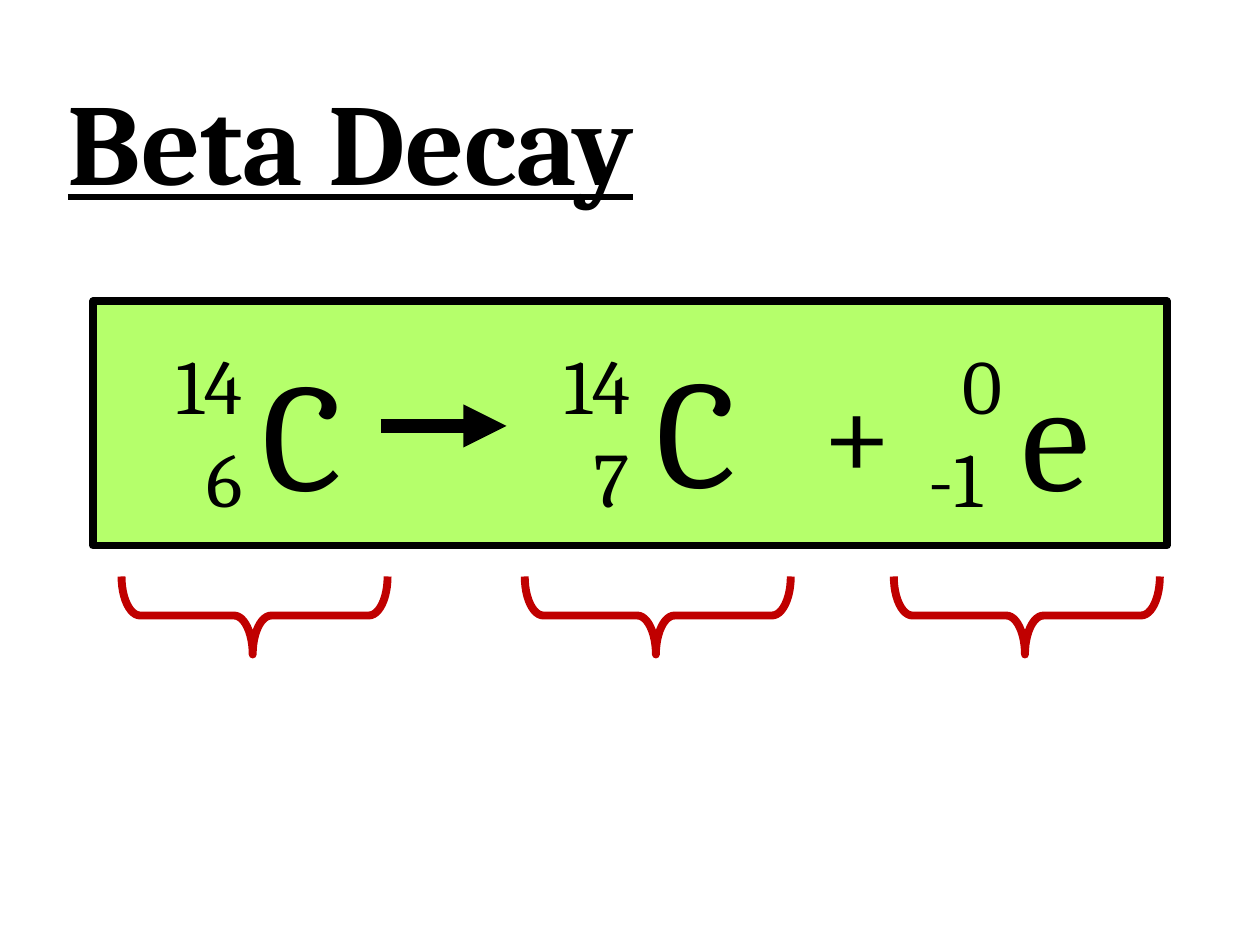
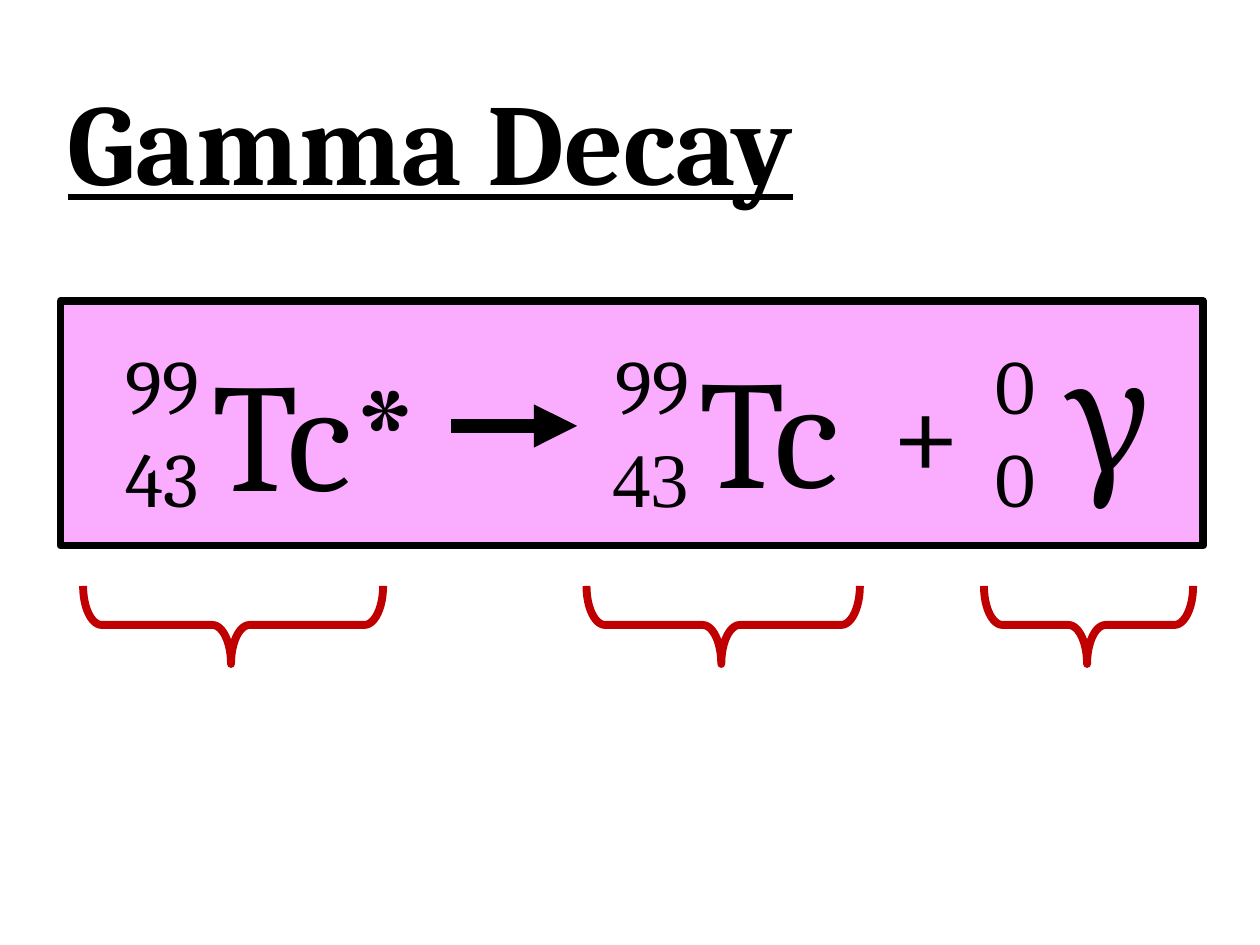
from dataclasses import dataclass

from lxml import etree
from pptx import Presentation
from pptx.dml.color import RGBColor
from pptx.enum.shapes import MSO_CONNECTOR as Connector
from pptx.enum.shapes import MSO_SHAPE as Shape
from pptx.enum.text import MSO_ANCHOR as Anchor
from pptx.enum.text import PP_ALIGN as Align
from pptx.oxml.ns import qn
from pptx.util import Pt

COLORS = {
    "ink": "000000",
    "beta": "B5FF6B",
    "gamma": "FAACFF",
    "brace": "C00000",
}
FONT = "Cambria"
BAND_TOP, BAND_HEIGHT = 172.1, 139.7
OUTLINE = 4.5
BRACE_DEPTH = 44.6


@dataclass
class Nuclide:
    """One term of a decay equation; x and y are relative to the band."""
    symbol: str
    symbol_x: float
    symbol_width: float
    mass: str
    charge: str
    numbers_x: float
    numbers_width: float
    symbol_y: float = 17.3
    symbol_height: float = 79.2
    align: Align = Align.RIGHT
    charge_font: str = FONT
    charge_indent: float = 0


def color(name):
    return RGBColor.from_string(COLORS[name])


def add_text(slide, text, left, top, width, height, *, size, align=Align.LEFT,
             bold=False, underline=False, spacing=None):
    """Add a text box with one paragraph per line of text."""
    box = slide.shapes.add_textbox(Pt(left), Pt(top), Pt(width), Pt(height))
    frame = box.text_frame
    frame.word_wrap = True
    frame.vertical_anchor = Anchor.TOP
    frame.text = text
    for paragraph in frame.paragraphs:
        paragraph.alignment = align
        paragraph.line_spacing = spacing
        font = paragraph.runs[0].font
        font.name, font.size = FONT, Pt(size)
        font.bold, font.underline = bold, underline
        font.color.rgb = color("ink")
    return frame


def add_title(slide, text):
    add_text(slide, text, 31.7, 51.8, 631.4, 77.8, size=66,
             bold=True, underline=True, spacing=0.8)


def add_band(slide, left, width, fill):
    band = slide.shapes.add_shape(
        Shape.RECTANGLE, Pt(left), Pt(BAND_TOP), Pt(width), Pt(BAND_HEIGHT))
    band.shadow.inherit = False
    band.fill.solid()
    band.fill.fore_color.rgb = color(fill)
    band.line.color.rgb = color("ink")
    band.line.width = Pt(OUTLINE)


def add_nuclide(slide, band_left, nuclide):
    # Symbol
    add_text(slide, nuclide.symbol, band_left + nuclide.symbol_x,
             BAND_TOP + nuclide.symbol_y, nuclide.symbol_width,
             nuclide.symbol_height, size=88, align=Align.CENTER)
    # Mass number above charge number
    frame = add_text(slide, f"{nuclide.mass}\n{nuclide.charge}",
                     band_left + nuclide.numbers_x, BAND_TOP + 17.3,
                     nuclide.numbers_width, 87.8, size=44, align=nuclide.align)
    charge = frame.paragraphs[1]
    charge.runs[0].font.name = nuclide.charge_font
    if nuclide.charge_indent:
        charge.alignment = Align.LEFT
        properties = charge._p.get_or_add_pPr()
        properties.set("marL", str(Pt(nuclide.charge_indent)))
        properties.set("indent", "0")


def add_arrow(slide, left, top, length=72):
    arrow = slide.shapes.add_connector(
        Connector.STRAIGHT, Pt(left), Pt(top), Pt(left + length), Pt(top))
    arrow.line.color.rgb = color("ink")
    arrow.line.width = Pt(8.25)
    properties = arrow._element.spPr
    etree.SubElement(properties.find(qn("a:ln")), qn("a:tailEnd"), type="triangle")
    etree.SubElement(properties, qn("a:effectLst"))


def add_brace(slide, left, top, length):
    """Add a brace that opens upward; it is turned about its centre."""
    shift = (length - BRACE_DEPTH) / 2
    brace = slide.shapes.add_shape(
        Shape.LEFT_BRACE, Pt(left + shift), Pt(top - shift),
        Pt(BRACE_DEPTH), Pt(length))
    brace.rotation = 270
    brace.adjustments[0], brace.adjustments[1] = 0.239, 0.493
    brace.shadow.inherit = False
    brace.fill.background()
    brace.line.color.rgb = color("brace")
    brace.line.width = Pt(OUTLINE)


def add_decay_slide(presentation, title, fill, band, nuclides, arrow_x, plus_x,
                    braces, brace_gap):
    slide = presentation.slides.add_slide(presentation.slide_layouts[6])
    left, width = band
    add_band(slide, left, width, fill)
    add_title(slide, title)
    # Equation
    for nuclide in nuclides:
        add_nuclide(slide, left, nuclide)
    add_arrow(slide, left + arrow_x, BAND_TOP + 71.3)
    add_text(slide, "+", left + plus_x, BAND_TOP + 25.9, 43.9, 79.2,
             size=72, align=Align.CENTER)
    # Braces under the terms
    for brace_x, length in braces:
        add_brace(slide, left + brace_x, BAND_TOP + BAND_HEIGHT + brace_gap, length)


def main():
    presentation = Presentation()
    presentation.slide_width, presentation.slide_height = Pt(720), Pt(540)
    add_decay_slide(
        presentation, "Beta Decay", "beta", (53.3, 613.4),
        [Nuclide("C", 64.1, 110.9, "14", "6", -15.8, 108),
         Nuclide("C", 284.4, 120.2, "14", "7", 193.7, 120.2, symbol_y=15.8),
         Nuclide("e", 501.1, 97.9, "0", "-1", 441.4, 85, charge_indent=29)],
        arrow_x=164.2, plus_x=409.7,
        braces=[(16.2, 152), (246.6, 152), (457.5, 152)], brace_gap=17.6)
    add_decay_slide(
        presentation, "Gamma Decay", "gamma", (34.6, 653),
        [Nuclide("Tc*", 72, 147.6, "99", "43", 13, 73.4),
         Nuclide("Tc", 324, 162.7, "99", "43", 301.7, 64.8, symbol_y=15.8,
                 charge_font="Times New Roman"),
         Nuclide("γ", 529.9, 137.5, "0", "0", 527, 51.1, symbol_y=6.5,
                 symbol_height=109.4, align=Align.LEFT)],
        arrow_x=223.2, plus_x=468,
        braces=[(12.9, 171.4), (300.6, 156.2), (527.7, 119.5)], brace_gap=23)
    presentation.save("out.pptx")


if __name__ == "__main__":
    main()
